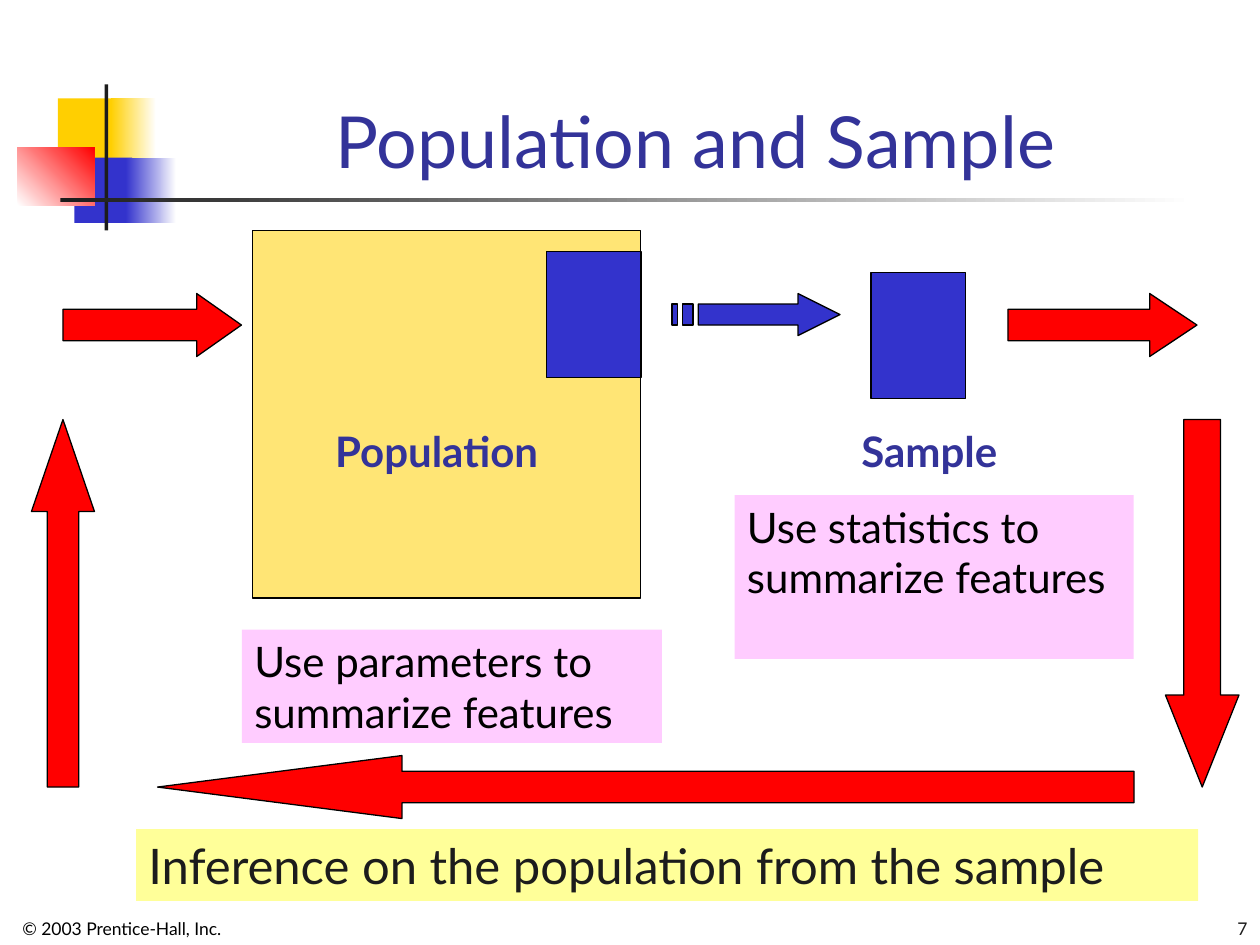
import pptx
import pptx.util
from pptx.dml.color import RGBColor
from pptx.enum.shapes import MSO_SHAPE
from pptx.enum.text import MSO_ANCHOR, PP_ALIGN

FONT = "Lato"
GOLD = RGBColor(0xFF, 0xCF, 0x01)
SAND = RGBColor(0xFF, 0xE5, 0x75)
YELLOW = RGBColor(0xFF, 0xFF, 0x99)
PINK = RGBColor(0xFF, 0xCC, 0xFF)
BLUE = RGBColor(0x33, 0x33, 0xCC)
NAVY = RGBColor(0x33, 0x33, 0x99)
RED = RGBColor(0xFF, 0x00, 0x00)
INK = RGBColor(0x1C, 0x1C, 0x1C)
BLACK = RGBColor(0x00, 0x00, 0x00)
WHITE = RGBColor(0xFF, 0xFF, 0xFF)

CELL = 1 / 12  # the diagram sits on a grid of 12 cells to the inch


def inches(*values):
    return [pptx.util.Inches(v) for v in values]


def inside(box, left, top, width, height):
    """Turn grid cells, counted from the corner of box, into inches."""
    return (box[0] + left * CELL, box[1] + top * CELL, width * CELL, height * CELL)


def style(sp, fill, outlined):
    sp.shadow.inherit = False
    sp.fill.solid()
    sp.fill.fore_color.rgb = fill
    if outlined:
        sp.line.color.rgb = BLACK
        sp.line.width = pptx.util.Pt(0.75)
    else:
        sp.line.fill.background()


def add_block(slide, at, fill, kind=MSO_SHAPE.RECTANGLE, outlined=False):
    sp = slide.shapes.add_shape(kind, *inches(*at))
    style(sp, fill, outlined)
    return sp


def add_fade(slide, at, start, end, angle=0):
    sp = add_block(slide, at, start)
    sp.fill.gradient()
    sp.fill.gradient_angle = angle
    for stop, color in zip(sp.fill.gradient_stops, (start, end)):
        stop.color.rgb = color


def write(sp, text, size, color, align=PP_ALIGN.LEFT, anchor=MSO_ANCHOR.TOP,
          bold=False, wrap=True):
    tf = sp.text_frame
    tf.word_wrap = wrap
    tf.vertical_anchor = anchor
    p = tf.paragraphs[0]
    p.alignment = align
    r = p.add_run()
    r.text = text
    r.font.name = FONT
    r.font.size = pptx.util.Pt(size)
    r.font.bold = bold
    r.font.color.rgb = color


def add_text(slide, at, *args, **kwargs):
    write(slide.shapes.add_textbox(*inches(*at)), *args, **kwargs)


def add_arrow(slide, at, kind, head):
    """Red block arrow; head is its length over the arrow's breadth."""
    sp = add_block(slide, at, RED, kind, outlined=True)
    sp.adjustments[0] = 0.5
    sp.adjustments[1] = head


def add_striped_arrow(slide, at):
    """Right arrow with two stripes for a tail, drawn in 32 by 4 units."""
    left, top, width, height = at
    contours = [
        [(24, 0), (24, 1), (5, 1), (5, 3), (24, 3), (24, 4), (32, 2)],
        [(2, 1), (2, 3), (4, 3), (4, 1)],
        [(0, 1), (0, 3), (1, 3), (1, 1)],
    ]
    builder = None
    for contour in contours:
        points = [inches(left + x * width / 32, top + y * height / 4) for x, y in contour]
        if builder is None:
            builder = slide.shapes.build_freeform(*points[0])
        else:
            builder.move_to(*points[0])
        builder.add_line_segments(points[1:], close=True)
    style(builder.convert_to_shape(), BLUE, True)


def add_header(slide, box):
    """Overlapping colour squares, cross lines and the title."""
    x, y, width, height = box
    add_block(slide, (x + 0.32, y + 0.11, 0.48, 0.52), GOLD)
    add_fade(slide, (x + 0.74, y + 0.11, 0.36, 0.52), GOLD, WHITE)
    add_block(slide, (x + 0.45, y + 0.58, 0.46, 0.52), BLUE)
    add_fade(slide, (x + 0.86, y + 0.58, 0.4, 0.52), BLUE, WHITE)
    add_fade(slide, (x, y + 0.5, 0.61, 0.46), WHITE, RED, angle=45)
    add_block(slide, (x + 0.69, y, 0.03, height), INK)
    add_fade(slide, (x + 0.34, y + 0.9, 9, 0.03), INK, WHITE)
    add_text(slide, (x + 1.12, y - 0.42, width - 1.22, 1.25), "Population and Sample",
             41, NAVY, PP_ALIGN.CENTER, MSO_ANCHOR.BOTTOM)


def add_population(slide, box):
    add_block(slide, inside(box, 1, 0, 37, 35), SAND, outlined=True)
    add_block(slide, inside(box, 29, 2, 9, 12), BLUE, outlined=True)
    add_text(slide, inside(box, 7.7, 18, 24.2, 6), "Population", 24, NAVY,
             bold=True, wrap=False)
    note = add_block(slide, inside(box, 0, 38, 40, 10.8), PINK)
    write(note, "Use parameters to summarize features", 24, BLACK)


def add_sample(slide, box):
    add_block(slide, inside(box, 13, 4, 9, 12), BLUE, outlined=True)
    add_text(slide, inside(box, 10.9, 18, 17, 6), "Sample", 24, NAVY,
             bold=True, wrap=False)
    note = add_block(slide, inside(box, 0, 25.2, 38, 15.6), PINK)
    write(note, "Use statistics to summarize features", 24, BLACK)


def add_cycle(slide, box):
    """Arrows that lead from population to sample and back."""
    add_striped_arrow(slide, inside(box, 61, 0, 16, 4))
    add_arrow(slide, inside(box, 93, 0, 18, 6), MSO_SHAPE.RIGHT_ARROW, 0.75)
    add_arrow(slide, inside(box, 108, 12, 7, 35), MSO_SHAPE.DOWN_ARROW, 1.25)
    add_arrow(slide, inside(box, 12, 44, 93, 6), MSO_SHAPE.LEFT_ARROW, 3.88)
    add_arrow(slide, inside(box, 0, 12, 6, 35), MSO_SHAPE.UP_ARROW, 1.46)
    add_arrow(slide, inside(box, 3, 0, 17, 6), MSO_SHAPE.RIGHT_ARROW, 0.71)


def add_conclusion(slide, box):
    banner = add_block(slide, box, YELLOW)
    write(banner, "Inference on the population from the sample", 28, INK, wrap=False)


def add_footer(slide, box):
    x, y, width, height = box
    add_text(slide, (x + 0.08, y, 0.4 * width, height), "© 2003 Prentice-Hall, Inc.",
             10, BLACK, anchor=MSO_ANCHOR.BOTTOM)
    add_text(slide, (x + 0.8 * width, y, 0.2 * width, height), "7",
             10, INK, PP_ALIGN.RIGHT, MSO_ANCHOR.BOTTOM)


def main():
    prs = pptx.Presentation()
    prs.slide_width, prs.slide_height = inches(10, 7.5)
    slide = prs.slides.add_slide(prs.slide_layouts[6])
    add_header(slide, (0.14, 0.67, 9.74, 1.16))
    add_footer(slide, (0, 7.01, 10, 0.49))
    add_population(slide, (1.92, 1.83, 3.33, 4.07))
    add_sample(slide, (5.83, 1.83, 3.17, 3.4))
    add_conclusion(slide, (1.08, 6.58, 8.43, 0.57))
    add_cycle(slide, (0.25, 2.33, 9.58, 4.17))
    prs.save("out.pptx")


if __name__ == "__main__":
    main()
